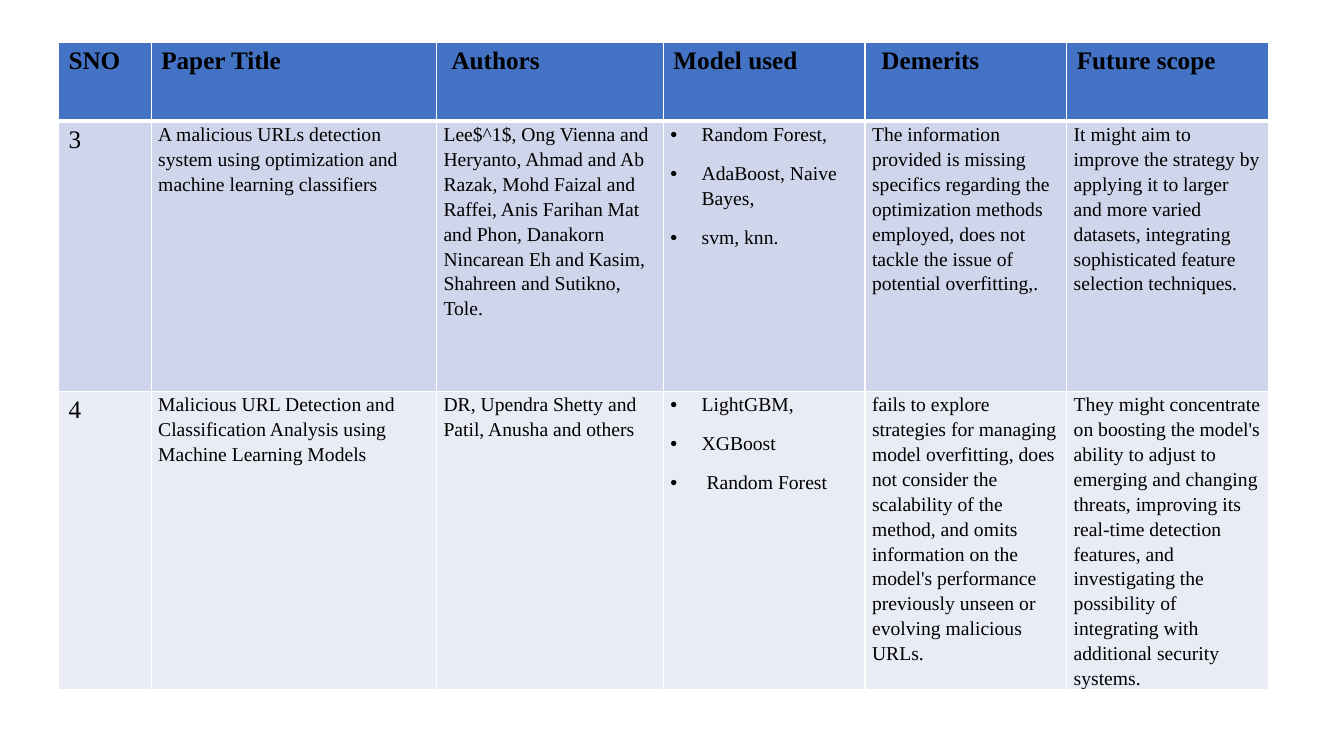
import pptx
import pptx.util
import pptx.dml.color
import pptx.oxml
import pptx.oxml.ns
import lxml.etree

HEADINGS = ["SNO", "Paper Title", " Authors", "Model used", " Demerits", "Future scope"]
PAPERS = [
    (
        "3",
        "A malicious URLs detection system using optimization and machine learning classifiers",
        "Lee$^1$, Ong Vienna and Heryanto, Ahmad and Ab Razak, Mohd Faizal and Raffei, "
        "Anis Farihan Mat and Phon, Danakorn Nincarean Eh and Kasim, Shahreen and Sutikno, Tole.",
        ["Random Forest,", "AdaBoost, Naive Bayes,", "svm, knn."],
        "The information provided is missing specifics regarding the optimization methods "
        "employed, does not tackle the issue of potential overfitting,.",
        "It might aim to improve the strategy by applying it to larger and more varied "
        "datasets, integrating sophisticated feature selection techniques.",
    ),
    (
        "4",
        "Malicious URL Detection and Classification Analysis using Machine Learning Models",
        "DR, Upendra Shetty and Patil, Anusha and others",
        ["LightGBM,", "XGBoost", " Random Forest"],
        "fails to explore strategies for managing model overfitting, does not consider the "
        "scalability of the method, and omits information on the model's performance "
        "previously unseen or evolving malicious URLs.",
        "They might concentrate on boosting the model's ability to adjust to emerging and "
        "changing threats, improving its real-time detection features, and investigating "
        "the possibility of integrating with additional security systems.",
    ),
]
COLUMN_WIDTHS = [0.92, 2.83, 2.25, 2, 2, 2]
ROW_HEIGHTS = [0.78, 2.68, 2.68]
ROW_FILLS = ["4472C4", "CFD5EA", "E9EBF5"]
LEFT, TOP, HEIGHT = 0.58, 0.42, 6.65
FONT = "Times New Roman"
INK = "000000"
RULE = "FFFFFF"
BULLET_INDENT = 0.31

Inches = pptx.util.Inches
Pt = pptx.util.Pt


def color(value):
    return pptx.dml.color.RGBColor.from_string(value)


def add_bullet(para):
    properties = para._p.get_or_add_pPr()
    properties.set("marL", str(Inches(BULLET_INDENT)))
    properties.set("indent", str(-Inches(BULLET_INDENT)))
    font = lxml.etree.SubElement(properties, pptx.oxml.ns.qn("a:buFont"))
    font.set("typeface", "Arial")
    mark = lxml.etree.SubElement(properties, pptx.oxml.ns.qn("a:buChar"))
    mark.set("char", "•")


def write(cell, text, size=18, bold=False, body=False):
    bulleted = isinstance(text, list)
    if body:
        cell.margin_left = cell.margin_right = Inches(0.07)
        cell.margin_top = cell.margin_bottom = 0
    for index, line in enumerate(text if bulleted else [text]):
        para = cell.text_frame.add_paragraph() if index else cell.text_frame.paragraphs[0]
        if body:
            para.line_spacing = 1.15
            para.space_after = Pt(10)
        if bulleted:
            add_bullet(para)
        span = para.add_run()
        span.text = line
        span.font.name = FONT
        span.font.size = Pt(size)
        span.font.bold = bold
        span.font.color.rgb = color(INK)


def set_borders(cell, top=1, bottom=1):
    properties = cell._tc.get_or_add_tcPr()
    widths = {"lnL": 1, "lnR": 1, "lnT": top, "lnB": bottom}
    for index, (side, width) in enumerate(widths.items()):
        line = pptx.oxml.parse_xml(
            f'<a:{side} {pptx.oxml.ns.nsdecls("a")} w="{Pt(width)}"><a:solidFill>'
            f'<a:srgbClr val="{RULE}"/></a:solidFill></a:{side}>'
        )
        properties.insert(index, line)


def main():
    deck = pptx.Presentation()
    deck.slide_width, deck.slide_height = Inches(13.33), Inches(7.5)
    page = deck.slides.add_slide(deck.slide_layouts[6])
    rows = [HEADINGS, *PAPERS]
    frame = page.shapes.add_table(
        len(rows), len(HEADINGS), Inches(LEFT), Inches(TOP),
        Inches(sum(COLUMN_WIDTHS)), Inches(HEIGHT),
    )
    table = frame.table
    for column, width in zip(table.columns, COLUMN_WIDTHS):
        column.width = Inches(width)
    for row, height in zip(table.rows, ROW_HEIGHTS):
        row.height = Inches(height)
    frame.height = Inches(HEIGHT)

    for row_index, texts in enumerate(rows):
        header = row_index == 0
        for column_index, text in enumerate(texts):
            cell = table.cell(row_index, column_index)
            body = not header and column_index > 0
            write(cell, text, size=14 if body else 18, bold=header, body=body)
            cell.fill.solid()
            cell.fill.fore_color.rgb = color(ROW_FILLS[row_index])
            set_borders(cell, top=3 if row_index == 1 else 1, bottom=3 if header else 1)

    deck.save("out.pptx")


if __name__ == "__main__":
    main()
